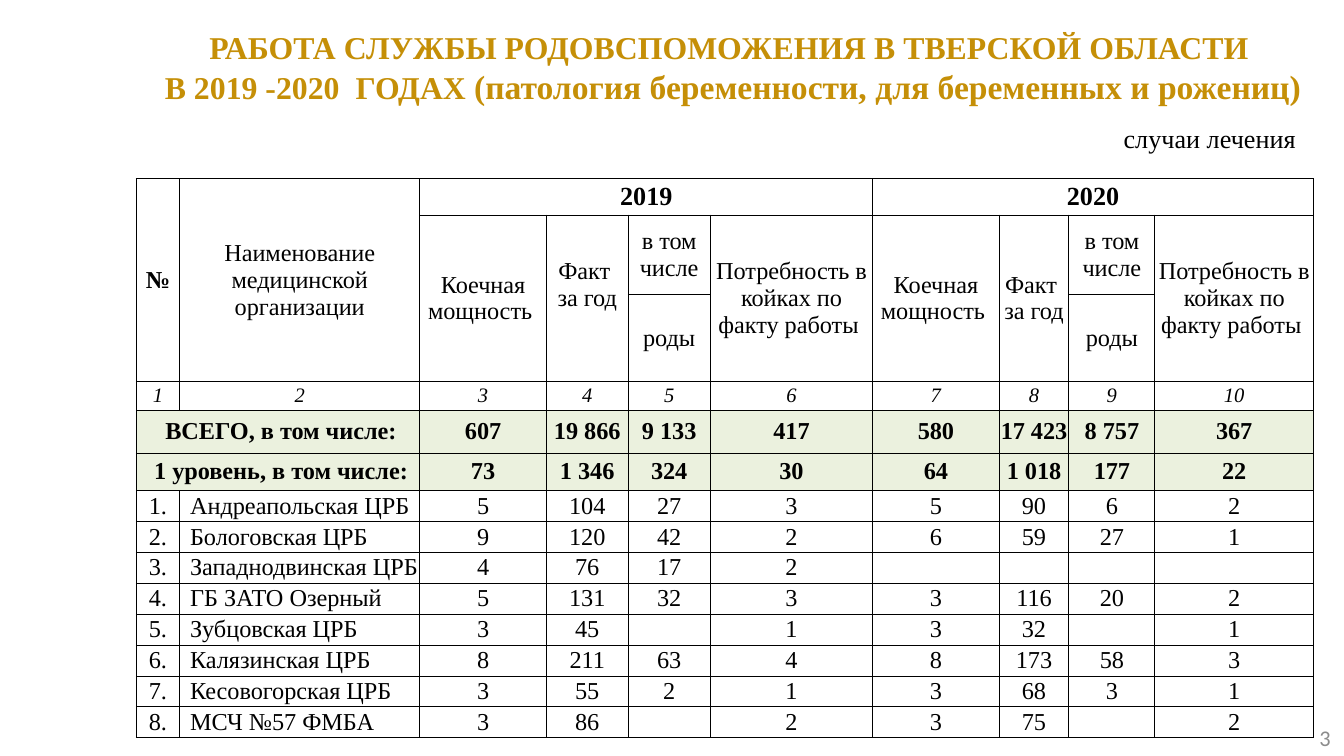
import pptx
import pptx.util
import pptx.dml.color
import pptx.enum.text
import pptx.oxml
import pptx.oxml.ns

Inches, Pt = pptx.util.Inches, pptx.util.Pt
RGBColor = pptx.dml.color.RGBColor
PP_ALIGN = pptx.enum.text.PP_ALIGN
MIDDLE = pptx.enum.text.MSO_ANCHOR.MIDDLE

GOLD = RGBColor(0xC5, 0x8F, 0x07)
BLACK = RGBColor(0, 0, 0)
GREY = RGBColor(0x8C, 0x8C, 0x8C)
PALE_GREEN = RGBColor(0xEB, 0xF1, 0xDE)
SERIF = "Times New Roman"

presentation = pptx.Presentation()
presentation.slide_width = Inches(10)
presentation.slide_height = presentation.slide_width * 9 // 16
slide = presentation.slides.add_slide(presentation.slide_layouts[6])
x_percent = presentation.slide_width / 100
y_percent = presentation.slide_height / 100


def add_text(left, top, width, height, text, size, color, align, face=SERIF):
    """Add a text box placed in percent of the slide; return its frame."""
    frame = slide.shapes.add_textbox(
        int(left * x_percent), int(top * y_percent),
        int(width * x_percent), int(height * y_percent)).text_frame
    frame.word_wrap = True
    frame.text = text
    for paragraph in frame.paragraphs:
        paragraph.alignment = align
        paragraph.font.name = face
        paragraph.font.size = Pt(size)
        paragraph.font.color.rgb = color
    return frame


def add_borders(cell):
    properties = cell._tc.get_or_add_tcPr()
    for position, side in enumerate(("lnL", "lnR", "lnT", "lnB")):
        properties.insert(position, pptx.oxml.parse_xml(
            f'<a:{side} {pptx.oxml.ns.nsdecls("a")} w="6350"><a:solidFill>'
            f'<a:srgbClr val="{BLACK}"/></a:solidFill></a:{side}>'))


# Title
title = add_text(10.7, 2.85, 87.7, 13.52,
                 "РАБОТА СЛУЖБЫ РОДОВСПОМОЖЕНИЯ В ТВЕРСКОЙ ОБЛАСТИ \n"
                 "В 2019 -2020  ГОДАХ ", 17, GOLD, PP_ALIGN.CENTER)
for line in title.paragraphs:
    line.font.bold = True
subject = title.paragraphs[1].add_run()
subject.text = "(патология беременности, для беременных и рожениц)"
subject.font.size = Pt(18)

# Table content: an empty string is a blank or merged cell
CAPACITY, ACTUAL = "Коечная мощность ", "Факт \vза год"
INCLUDING, BIRTHS = "в том числе", "роды"
NEED = "Потребность в койках по факту работы "
year_heads = [CAPACITY, ACTUAL, INCLUDING, NEED]
hospitals = [
    ("Андреапольская ЦРБ", "5", "104", "27", "3", "5", "90", "6", "2"),
    ("Бологовская ЦРБ", "9", "120", "42", "2", "6", "59", "27", "1"),
    ("Западнодвинская ЦРБ", "4", "76", "17", "2", "", "", "", ""),
    ("ГБ ЗАТО Озерный", "5", "131", "32", "3", "3", "116", "20", "2"),
    ("Зубцовская ЦРБ", "3", "45", "", "1", "3", "32", "", "1"),
    ("Калязинская ЦРБ", "8", "211", "63", "4", "8", "173", "58", "3"),
    ("Кесовогорская ЦРБ", "3", "55", "2", "1", "3", "68", "3", "1"),
    ("МСЧ №57 ФМБА", "3", "86", "", "2", "3", "75", "", "2"),
]
rows = [
    ["№", "Наименование медицинской организации",
     "2019", "", "", "", "2020", "", "", ""],
    ["", ""] + year_heads * 2,
    ["", ""] + ["", "", BIRTHS, ""] * 2,
    [str(number) for number in range(1, 11)],
    ["ВСЕГО, в том числе:", "", "607", "19 866", "9 133", "417",
     "580", "17 423", "8 757", "367"],
    ["1 уровень, в том числе:", "", "73", "1 346", "324", "30",
     "64", "1 018", "177", "22"],
]
rows += [[f"{number}.", *hospital]
         for number, hospital in enumerate(hospitals, 1)]
NUMBERING_ROW, TOTAL_ROWS, FIRST_HOSPITAL_ROW = 3, (4, 5), 6

column_widths = [0.32, 1.79, 0.94, 0.61, 0.61, 1.21, 0.94, 0.52, 0.64, 1.18]
row_heights = [0.27, 0.59, 0.48, 0.21, 0.32, 0.28] + [0.23] * len(hospitals)
frame = slide.shapes.add_table(
    len(rows), len(column_widths), int(10.15 * x_percent), int(23.65 * y_percent),
    Inches(sum(column_widths)), Inches(sum(row_heights)))
table = frame.table
table.first_row = table.horz_banding = False
for column, width in zip(table.columns, column_widths):
    column.width = Inches(width)
for row, height in zip(table.rows, row_heights):
    row.height = Inches(height)

for r, values in enumerate(rows):
    for c, value in enumerate(values):
        cell = table.cell(r, c)
        cell.text = value
        cell.vertical_anchor = MIDDLE
        cell.margin_left = cell.margin_right = 0
        cell.margin_top = cell.margin_bottom = 0
        if r in TOTAL_ROWS:
            cell.fill.solid()
            cell.fill.fore_color.rgb = PALE_GREEN
        else:
            cell.fill.background()
        add_borders(cell)

        paragraph = cell.text_frame.paragraphs[0]
        paragraph.alignment = PP_ALIGN.CENTER
        size = 11 if r == NUMBERING_ROW else 14 if r == 0 and c > 1 else 13
        paragraph.font.name = SERIF
        paragraph.font.size = Pt(size)
        paragraph.font.color.rgb = BLACK
        paragraph.font.bold = r in TOTAL_ROWS or (r == 0 and c != 1)
        paragraph.font.italic = r == NUMBERING_ROW
        if not value:
            # Keeps a blank cell from stretching its row
            paragraph._p.append(pptx.oxml.parse_xml(
                f'<a:endParaRPr {pptx.oxml.ns.nsdecls("a")} sz="{size * 100}"/>'))
        if r >= FIRST_HOSPITAL_ROW and c == 1:
            paragraph.alignment = PP_ALIGN.LEFT
            cell.margin_left = Inches(0.08)

table.cell(1, 3).margin_bottom = Inches(0.2)

# Merged heads: number and name, years, and the tall heads of each year
for c in (0, 1):
    table.cell(0, c).merge(table.cell(2, c))
for first in (2, 6):
    table.cell(0, first).merge(table.cell(0, first + 3))
    for c in (first, first + 1, first + 3):
        table.cell(1, c).merge(table.cell(2, c))
for r in TOTAL_ROWS:
    table.cell(r, 0).merge(table.cell(r, 1))
    table.cell(r, 0).margin_left = Inches(0.04)

# Unit note and page number
unit = add_text(82.5, 15.3, 14.9, 6.05, "случаи лечения", 14, BLACK,
                PP_ALIGN.RIGHT)
unit.word_wrap = False
page = add_text(76.7, 94.84, 23.3, 5.34, "3", 12, GREY, PP_ALIGN.RIGHT, "Calibri")
page.vertical_anchor = MIDDLE

presentation.save("out.pptx")
